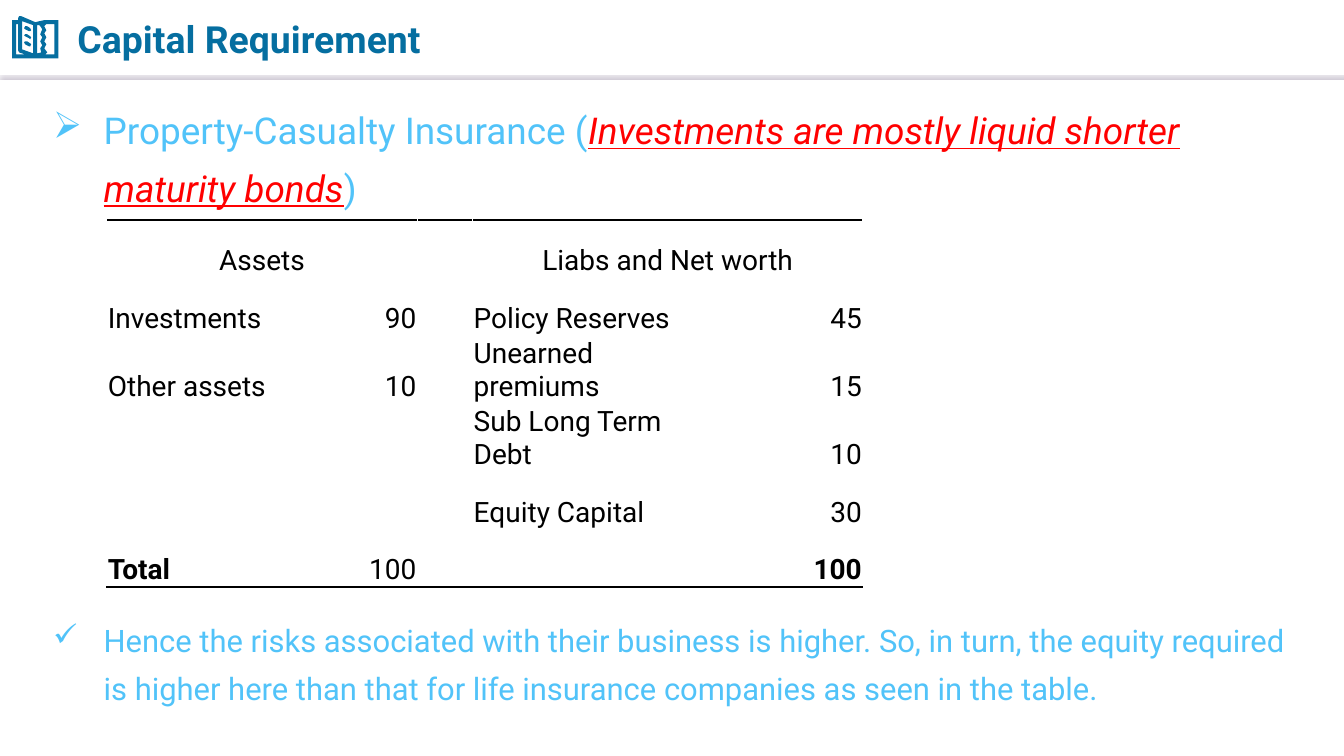
from lxml.etree import SubElement, fromstring
from pptx import Presentation
from pptx.dml.color import RGBColor
from pptx.enum.shapes import MSO_CONNECTOR as Connector
from pptx.enum.text import MSO_ANCHOR as Anchor, PP_ALIGN as Align
from pptx.oxml.ns import nsdecls, qn
from pptx.util import Pt

COLORS = {"title": "056EA0", "body": "51C3F9", "stress": "FF0000",
          "table": "000000", "paper": "FFFFFF", "shadow": "BCB4C4"}

SLIDE_SIZE = (960, 540)
TITLE = "Capital Requirement"
TITLE_BOX = (48.24, 5.04, 529.92, 45.36)
BODY_BOX = (30.96, 64.08, 897.84, 445.68)
HEADER_Y = 52.56

POINTS = [
    ("➢", 0, 26.4, [
        ("Property-Casualty Insurance (", "body", {}),
        ("Investments are mostly liquid shorter maturity bonds", "stress",
         {"italic": True, "underline": True}),
        (")", "body", {}),
    ]),
    ("✓", 286, 22.1, [
        ("Hence the risks associated with their business is higher. So, in turn, "
         "the equity required is higher here than that for life insurance companies "
         "as seen in the table.", "body", {}),
    ]),
]

BALANCE_SHEET = [
    ("Assets", "", "", "Liabs and Net worth", ""),
    ("Investments", "90", "", "Policy Reserves", "45"),
    ("Other assets", "10", "", "Unearned premiums", "15"),
    ("", "", "", "Sub Long Term Debt", "10"),
    ("", "", "", "Equity Capital", "30"),
    ("Total", "100", "", "", "100"),
]
BALANCE_ORIGIN = (76.32, 156.96)
COLUMN_WIDTHS = (135.36, 86.4, 39.6, 181.44, 97.2)
ROW_HEIGHT = 41.2
HEADING_COLUMNS = (0, 3)
AMOUNT_COLUMNS = (1, 4)
BOLD_TOTALS = (0, 4)
CELL_FORMAT = {"vertical_anchor": Anchor.BOTTOM, "margin_left": Pt(0.72),
               "margin_right": Pt(0.72), "margin_top": Pt(0.72), "margin_bottom": 0}

BOOK_UNIT = 0.72
BOOK_OUTLINES = [
    [(21, 16), (35, 22), (44, 20), (56, 20), (57.5, 20.5), (58, 22), (58, 56),
     (57.5, 57.5), (56, 58), (14, 58), (12.5, 57.5), (12, 56), (12, 22),
     (12.5, 20.5), (14, 20), (18, 20), (18, 18), (19, 16.5)],
    [(22, 21), (22, 49), (33, 53), (33, 25)],
    [(16, 24), (16, 54), (25, 54), (19, 52), (18, 50), (18, 24)],
    [(39, 25), (37, 25), (37, 53), (41, 52), (39.5, 48.5), (42, 45), (39.5, 41),
     (42, 37), (39.5, 33.5), (42, 29), (39.5, 26.5)],
    [(46, 24), (44, 26), (46.5, 29.5), (44, 33), (46.5, 37), (44, 41),
     (46.5, 44.5), (44, 48), (47, 52), (45, 54), (54, 54), (54, 24)],
]
BOOK_TEXT_LINE = [(25, 26), (27, 26), (30, 28), (31, 29.5), (30, 31.2),
                  (29, 31), (25, 29), (24, 27.5)]
BOOK_LINE_SHIFTS = (0, 7.5, 15)


def rgb(name):
    return RGBColor.from_string(COLORS[name])


def assign(target, values):
    for key, value in values.items():
        setattr(target, key, value)


def add_run(paragraph, words, color, size, values):
    run = paragraph.add_run()
    run.text = words
    assign(run.font, {"name": "Roboto", "size": Pt(size), **values})
    run.font.color.rgb = rgb(color)


def add_frame(slide, box, values):
    frame = slide.shapes.add_textbox(*map(Pt, box)).text_frame
    assign(frame, {"word_wrap": True, **values})
    return frame


def add_header_rule(slide):
    rule = slide.shapes.add_connector(
        Connector.STRAIGHT, 0, Pt(HEADER_Y), Pt(SLIDE_SIZE[0]), Pt(HEADER_Y))
    rule.line.color.rgb = rgb("paper")
    rule.line.width = Pt(0.75)
    effects = SubElement(rule._element.spPr, qn("a:effectLst"))
    shadow = SubElement(effects, qn("a:outerShdw"), blurRad=str(Pt(1)),
                        dist=str(Pt(3)), dir="5400000", algn="t", rotWithShape="0")
    SubElement(shadow, qn("a:srgbClr"), val=COLORS["shadow"])


def add_book(slide):
    text_lines = [[(x, y + shift) for x, y in BOOK_TEXT_LINE]
                  for shift in BOOK_LINE_SHIFTS]
    outlines = BOOK_OUTLINES + text_lines
    builder = slide.shapes.build_freeform(*outlines[0][0], scale=Pt(BOOK_UNIT))
    for outline in outlines:
        builder.move_to(*outline[0])
        builder.add_line_segments(outline[1:], close=True)
    book = builder.convert_to_shape()
    book.shadow.inherit = False
    book.fill.solid()
    book.fill.fore_color.rgb = rgb("title")
    book.line.fill.background()


def add_points(slide):
    frame = add_frame(slide, BODY_BOX, {})
    for index, (mark, gap, size, phrases) in enumerate(POINTS):
        paragraph = frame.add_paragraph() if index else frame.paragraphs[0]
        assign(paragraph, {"line_spacing": 1.3, "space_before": Pt(gap)})
        properties = paragraph._p.get_or_add_pPr()
        properties.set("marL", str(Pt(36)))
        properties.set("indent", str(-Pt(36)))
        SubElement(properties, qn("a:buChar"), char=mark)
        for words, color, values in phrases:
            add_run(paragraph, words, color, size, values)


def add_border(cell, side):
    cell._tc.get_or_add_tcPr().insert(0, fromstring(
        f'<a:{side} {nsdecls("a")} w="{Pt(2)}"><a:solidFill>'
        f'<a:srgbClr val="{COLORS["table"]}"/></a:solidFill></a:{side}>'))


def add_balance_sheet(slide):
    last = len(BALANCE_SHEET) - 1
    table = slide.shapes.add_table(
        len(BALANCE_SHEET), len(COLUMN_WIDTHS), *map(Pt, BALANCE_ORIGIN),
        Pt(sum(COLUMN_WIDTHS)), Pt(ROW_HEIGHT * len(BALANCE_SHEET))).table
    assign(table, {"first_row": False, "horz_banding": False})
    for column, width in zip(table.columns, COLUMN_WIDTHS):
        column.width = Pt(width)
    for column in HEADING_COLUMNS:
        table.cell(0, column).merge(table.cell(0, column + 1))
    for r, entries in enumerate(BALANCE_SHEET):
        table.rows[r].height = Pt(ROW_HEIGHT)
        for c, entry in enumerate(entries):
            cell = table.cell(r, c)
            assign(cell, CELL_FORMAT)
            cell.fill.solid()
            cell.fill.fore_color.rgb = rgb("paper")
            if r in (0, last):
                add_border(cell, "lnB" if r else "lnT")
            if entry:
                paragraph = cell.text_frame.paragraphs[0]
                paragraph.alignment = (Align.CENTER if r == 0 else
                                       Align.RIGHT if c in AMOUNT_COLUMNS else Align.LEFT)
                add_run(paragraph, entry, "table", 20,
                        {"bold": r == last and c in BOLD_TOTALS})


def main():
    deck = Presentation()
    assign(deck, dict(zip(("slide_width", "slide_height"), map(Pt, SLIDE_SIZE))))
    slide = deck.slides.add_slide(deck.slide_layouts[6])
    add_header_rule(slide)
    add_book(slide)
    add_points(slide)
    title = add_frame(slide, TITLE_BOX, {"vertical_anchor": Anchor.MIDDLE})
    add_run(title.paragraphs[0], TITLE, "title", 26.7, {"bold": True})
    add_balance_sheet(slide)
    deck.save("out.pptx")


if __name__ == "__main__":
    main()
